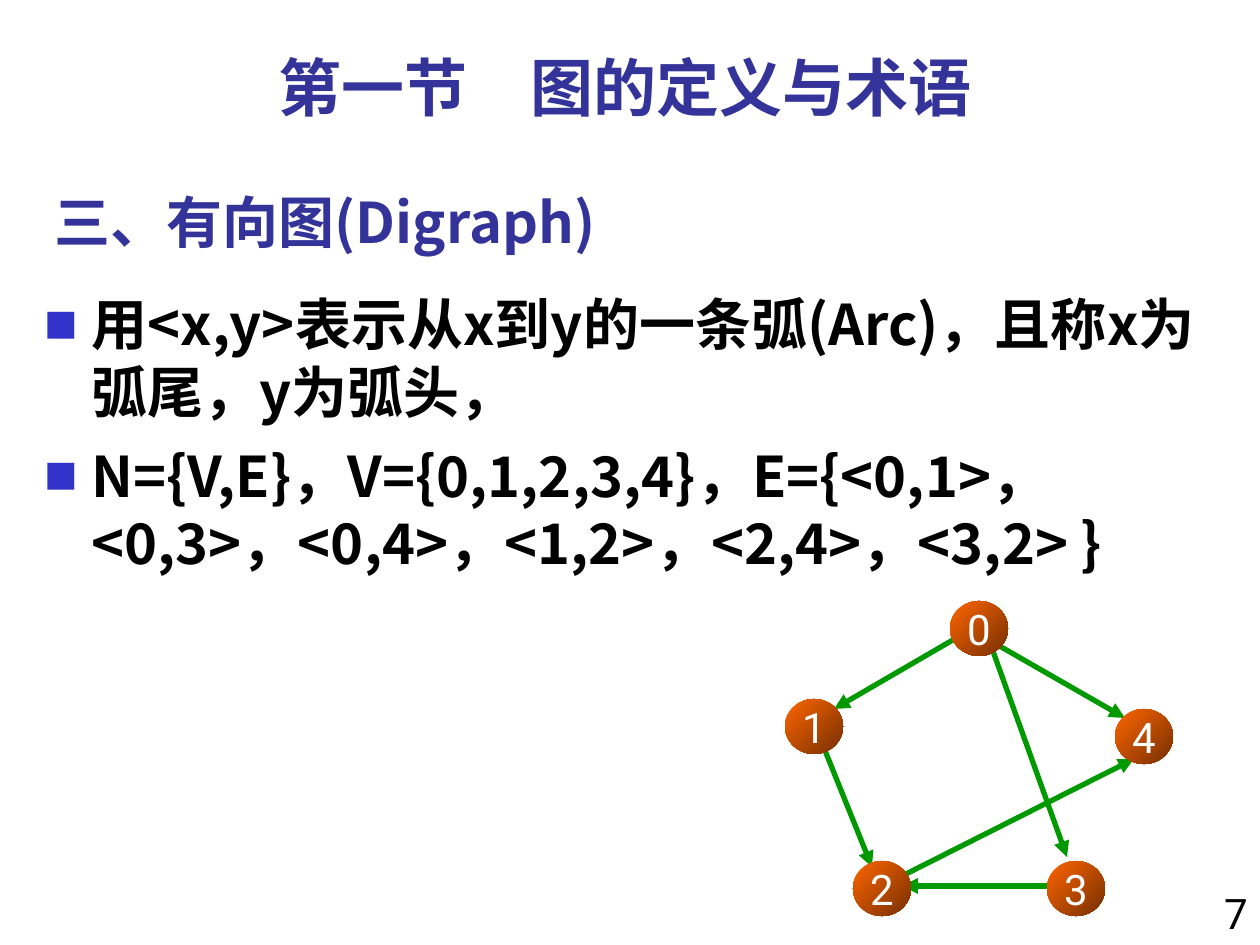
import pptx
import pptx.util
import pptx.dml.color
import pptx.enum.shapes
import pptx.enum.text
import pptx.oxml
import pptx.oxml.ns
from lxml import etree

SCALE = 914400 / 126
CJK, LATIN = "Noto Sans CJK SC", "Roboto"
NAVY, BLACK, WHITE = "333399", "000000", "FFFFFF"
BULLET_BLUE, ARC_GREEN = "3333CC", "009900"
NODE_COLORS = ("FF6600", "762F00")
NODE_SIZE = (58, 55)
ALIGN = pptx.enum.text.PP_ALIGN
ANCHOR = pptx.enum.text.MSO_ANCHOR

BODY = [
    "用<x,y>表示从x到y的一条弧(Arc)，且称x为弧尾，y为弧头，",
    "N={V,E}，V={0,1,2,3,4}，E={<0,1>，<0,3>，<0,4>，<1,2>，<2,4>，<3,2> }",
]
NODES = {"1": (785, 699), "3": (1047, 861), "2": (853, 861),
         "4": (1115, 709), "0": (950, 601)}
# Each arc runs from its tail point to its head point.
ARCS = [
    (989, 640, 1125, 718),
    (824, 748, 872, 867),
    (970, 630, 834, 709),
    (989, 640, 1067, 857),
    (1047, 886, 902, 886),
    (902, 876, 1134, 759),
]


def px(*lengths):
    return [pptx.util.Emu(round(length * SCALE)) for length in lengths]


def color(hex_string):
    return pptx.dml.color.RGBColor.from_string(hex_string)


def add_child(parent, tag, **attributes):
    child = etree.SubElement(parent, pptx.oxml.ns.qn(tag))
    for name, value in attributes.items():
        child.set(name, value)
    return child


def format_runs(paragraph, size, font, hex_string, bold=False):
    for run in paragraph.runs:
        run.font.size = pptx.util.Pt(size)
        run.font.name = font
        run.font.bold = bold
        run.font.color.rgb = color(hex_string)
        add_child(run.font._element, "a:ea", typeface=CJK)


def add_bullet(paragraph):
    properties = paragraph._p.get_or_add_pPr()
    indent, = px(47)
    properties.set("marL", str(indent))
    properties.set("indent", str(-indent))
    add_child(add_child(properties, "a:buClr"), "a:srgbClr", val=BULLET_BLUE)
    add_child(properties, "a:buSzPct", val="60000")
    add_child(properties, "a:buFont", typeface=CJK)
    add_child(properties, "a:buChar", char="■")


def add_text(slide, box, lines, size, font, hex_string, bold=False,
             align=ALIGN.LEFT, anchor=ANCHOR.TOP, top=6, bottom=6,
             bullets=False):
    frame = slide.shapes.add_textbox(*px(*box)).text_frame
    frame.word_wrap = True
    frame.vertical_anchor = anchor
    frame.margin_top, frame.margin_bottom = px(top, bottom)
    frame.text = "\n".join(lines)
    for index, paragraph in enumerate(frame.paragraphs):
        if bullets:
            add_bullet(paragraph)
        paragraph.alignment = align
        paragraph.line_spacing = pptx.util.Pt(round(size * 1.2, 1))
        if index:
            paragraph.space_before = pptx.util.Pt(round(size * 0.3, 1))
        format_runs(paragraph, size, font, hex_string, bold)


def add_arc(graph, points):
    arc = graph.shapes.add_connector(
        pptx.enum.shapes.MSO_CONNECTOR.STRAIGHT, *px(*points))
    arc.line.color.rgb = color(ARC_GREEN)
    arc.line.width = pptx.util.Pt(3)
    add_child(arc.line._get_or_add_ln(), "a:tailEnd", type="triangle")
    add_child(arc._element.spPr, "a:effectLst")


def add_node(graph, label, corner):
    node = graph.shapes.add_shape(
        pptx.enum.shapes.MSO_SHAPE.OVAL, *px(*corner, *NODE_SIZE))
    node.shadow.inherit = False
    node.line.fill.background()
    node.fill.gradient()
    node.fill.gradient_angle = 315
    for stop, position, shade in zip(node.fill.gradient_stops, (0, 1),
                                     NODE_COLORS):
        stop.position = position
        stop.color.rgb = color(shade)
    frame = node.text_frame
    frame.word_wrap = False
    frame.margin_left = frame.margin_right = 0
    frame.vertical_anchor = ANCHOR.MIDDLE
    frame.text = label
    frame.paragraphs[0].alignment = ALIGN.CENTER
    format_runs(frame.paragraphs[0], 24, LATIN, WHITE)


def add_digraph(slide):
    graph = slide.shapes.add_group_shape()
    for points in ARCS:
        add_arc(graph, points)
    for label, corner in NODES.items():
        add_node(graph, label, corner)


def main():
    deck = pptx.Presentation()
    deck.slide_width, deck.slide_height = px(1260, 945)
    slide = deck.slides.add_slide(deck.slide_layouts[6])
    add_text(slide, (42, 163, 788, 94), ["三、有向图(Digraph)"], 32, CJK, NAVY,
             bold=True, anchor=ANCHOR.BOTTOM, bottom=2)
    add_text(slide, (1176, 882, 84, 63), ["7"], 24, LATIN, BLACK,
             align=ALIGN.RIGHT)
    add_text(slide, (42, 37, 1166, 88), ["第一节\u3000图的定义与术语"], 36,
             LATIN, NAVY, bold=True, align=ALIGN.CENTER, top=12)
    add_text(slide, (32, 278, 1207, 557), BODY, 32, CJK, BLACK,
             bold=True, top=12, bullets=True)
    add_digraph(slide)
    deck.save("out.pptx")


if __name__ == "__main__":
    main()
